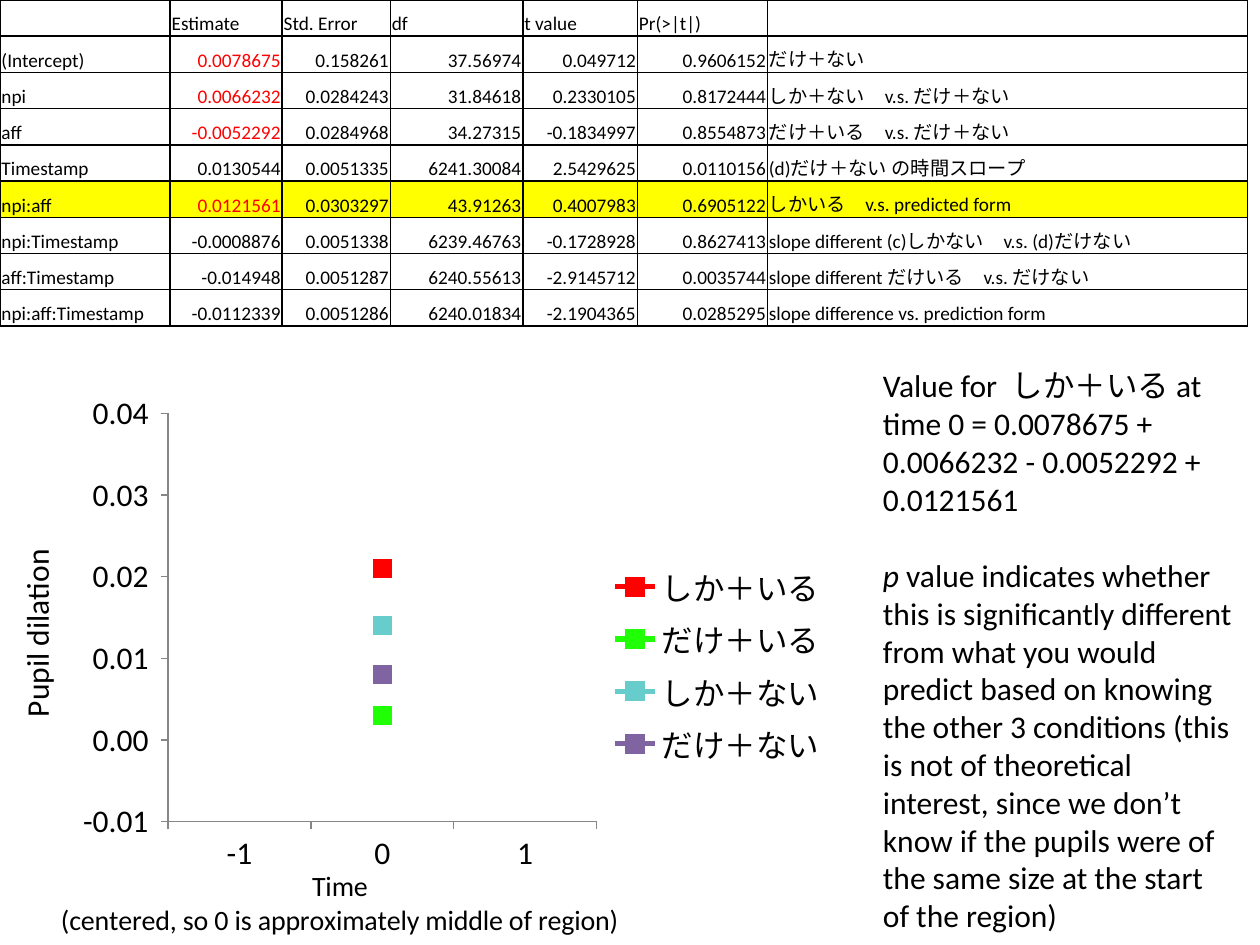
import pptx
import pptx.chart.data
import pptx.dml.color
import pptx.enum.chart
import pptx.enum.text
import pptx.oxml
import pptx.util
from pptx.util import Cm, Pt

NS = pptx.oxml.ns.nsdecls


def rgb(value):
    return pptx.dml.color.RGBColor.from_string(value)


def add_run(p, text, size, color="000000"):
    r = p.add_run()
    r.text = text
    r.font.size = Pt(size)
    r.font.name = "Calibri"
    r.font.bold = False
    r.font.color.rgb = rgb(color)
    return r


prs = pptx.Presentation()
prs.slide_width, prs.slide_height = Cm(25.4), Cm(19.05)
s = prs.slides.add_slide(prs.slide_layouts[6])

# Table of model coefficients
rows = [
    ("", "Estimate", "Std. Error", "df", "t value", "Pr(>|t|)", ""),
    ("(Intercept)", "0.0078675", "0.158261", "37.56974", "0.049712", "0.9606152",
     "だけ＋ない"),
    ("npi", "0.0066232", "0.0284243", "31.84618", "0.2330105", "0.8172444",
     "しか＋ない　v.s. だけ＋ない"),
    ("aff", "-0.0052292", "0.0284968", "34.27315", "-0.1834997", "0.8554873",
     "だけ＋いる　v.s. だけ＋ない"),
    ("Timestamp", "0.0130544", "0.0051335", "6241.30084", "2.5429625", "0.0110156",
     "(d)だけ＋ない の時間スロープ"),
    ("npi:aff", "0.0121561", "0.0303297", "43.91263", "0.4007983", "0.6905122",
     "しかいる　v.s. predicted form"),
    ("npi:Timestamp", "-0.0008876", "0.0051338", "6239.46763", "-0.1728928", "0.8627413",
     "slope different (c)しかない　v.s. (d)だけない"),
    ("aff:Timestamp", "-0.014948", "0.0051287", "6240.55613", "-2.9145712", "0.0035744",
     "slope different だけいる　v.s. だけない"),
    ("npi:aff:Timestamp", "-0.0112339", "0.0051286", "6240.01834", "-2.1904365", "0.0285295",
     "slope difference vs. prediction form"),
]
col_widths = [3.43, 2.26, 2.18, 2.67, 2.31, 2.62, 9.68]
row_height = 0.73
summed_terms = ("(Intercept)", "npi", "aff", "npi:aff")
table = s.shapes.add_table(len(rows), len(col_widths), 0, 0, Cm(sum(col_widths)),
                           Cm(row_height * len(rows))).table
table.first_row = table.horz_banding = False
for column, width in zip(table.columns, col_widths):
    column.width = Cm(width)
for i, row in enumerate(rows):
    table.rows[i].height = Cm(row_height)
    for j, text in enumerate(row):
        cell = table.cell(i, j)
        cell.margin_left = cell.margin_right = cell.margin_top = Cm(0.03)
        cell.margin_bottom = 0
        cell.vertical_anchor = pptx.enum.text.MSO_ANCHOR.BOTTOM
        p = cell.text_frame.paragraphs[0]
        if text:
            red = j == 1 and row[0] in summed_terms
            add_run(p, text, 11, "FF0000" if red else "000000")
        else:
            p._p.get_or_add_endParaRPr().set("sz", "1100")
        if i > 0 and 1 <= j <= 5:
            p.alignment = pptx.enum.text.PP_ALIGN.RIGHT
        tcPr = cell._tc.get_or_add_tcPr()
        for side in ("lnL", "lnR", "lnT", "lnB"):
            tcPr.append(pptx.oxml.parse_xml(
                f'<a:{side} {NS("a")} w="12700"><a:solidFill><a:srgbClr val="000000"/>'
                f'</a:solidFill></a:{side}>'))
        if row[0] == "npi:aff":
            cell.fill.solid()
            cell.fill.fore_color.rgb = rgb("FFFF00")
        else:
            cell.fill.background()

# Explanation
tf = s.shapes.add_textbox(Cm(17.55), Cm(7.26), Cm(7.57), Cm(11.79)).text_frame
tf.word_wrap = True
add_run(tf.paragraphs[0], "Value for  しか＋いる at time 0 = 0.0078675 + 0.0066232 "
        "- 0.0052292 + 0.0121561", 18)
p = tf.add_paragraph()
p.space_before = Pt(22)
add_run(p, "p", 18).font.italic = True
add_run(p, " value indicates whether this is significantly different from what you would "
        "predict based on knowing the other 3 conditions (this is not of theoretical interest, "
        "since we don’t know if the pupils were of the same size at the start of the region)", 18)

# Chart of the four conditions at time 0
conditions = [
    ("しか＋いる", 0.021, "FF0000"),
    ("だけ＋いる", 0.003, "21FF06"),
    ("しか＋ない", 0.014, "66CCCC"),
    ("だけ＋ない", 0.008, "8064A2"),
]
data = pptx.chart.data.CategoryChartData()
data.categories = ["-1", "0", "1"]
for name, value, color in conditions:
    data.add_series(name, (None, value, None))
chart = s.shapes.add_chart(pptx.enum.chart.XL_CHART_TYPE.LINE_MARKERS, 0, Cm(7.77),
                           Cm(16.94), Cm(11.28), data).chart
chart.has_title = False
chart.font.size = Pt(18)
chart.font.name = "Calibri"
chart.font.color.rgb = rgb("000000")
chart.has_legend = True
chart.legend.position = pptx.enum.chart.XL_LEGEND_POSITION.RIGHT
chart.legend.include_in_layout = False
for series, (name, value, color) in zip(chart.plots[0].series, conditions):
    series.smooth = False
    series.format.line.color.rgb = rgb(color)
    series.format.line.width = Pt(3)
    series.marker.style = pptx.enum.chart.XL_MARKER_STYLE.SQUARE
    series.marker.size = 10
    series.marker.format.fill.solid()
    series.marker.format.fill.fore_color.rgb = rgb(color)
    series.marker.format.line.color.rgb = rgb(color)

time_axis, dilation_axis = chart.category_axis, chart.value_axis
dilation_axis.minimum_scale, dilation_axis.maximum_scale = -0.01, 0.04
dilation_axis.major_unit = 0.01
dilation_axis.crosses = pptx.enum.chart.XL_AXIS_CROSSES.MINIMUM
dilation_axis.tick_labels.number_format = "0.00_ "
dilation_axis.tick_labels.number_format_is_linked = False
for axis, size, lines in [
    (time_axis, 16, ["Time", "(centered, so 0 is approximately middle of region)"]),
    (dilation_axis, 18, ["Pupil dilation"]),
]:
    axis.has_major_gridlines = False
    axis.major_tick_mark = pptx.enum.chart.XL_TICK_MARK.OUTSIDE
    axis.format.line.color.rgb = rgb("868686")
    tf = axis.axis_title.text_frame
    for k, line in enumerate(lines):
        p = tf.add_paragraph() if k else tf.paragraphs[0]
        add_run(p, line, size)

plot_area = chart._chartSpace.chart.plotArea
for layout in plot_area.findall(pptx.oxml.ns.qn("c:layout")):
    plot_area.remove(layout)
plot_area.insert(0, pptx.oxml.parse_xml(
    f'<c:layout {NS("c")}><c:manualLayout><c:layoutTarget val="inner"/>'
    '<c:xMode val="edge"/><c:yMode val="edge"/><c:x val="0.2"/><c:y val="0.05"/>'
    '<c:w val="0.51"/><c:h val="0.73"/></c:manualLayout></c:layout>'))

prs.save("out.pptx")
